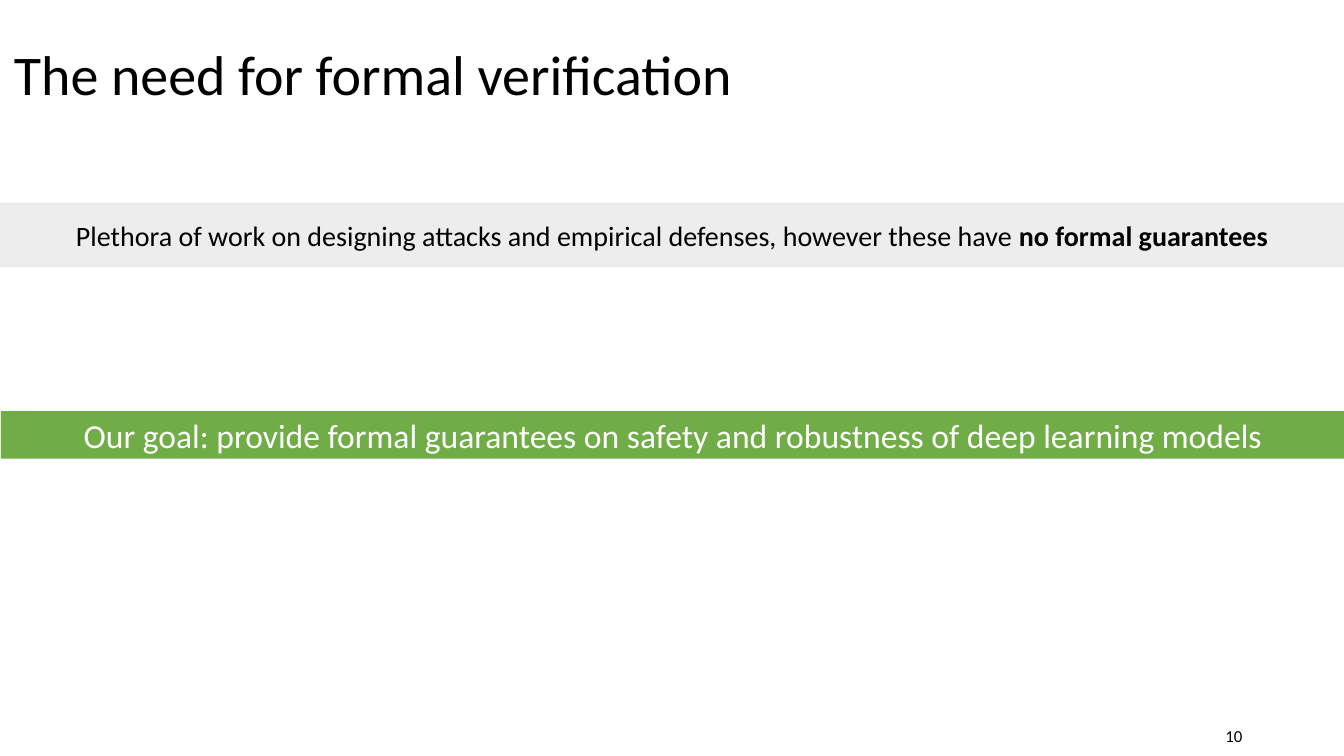
"""Build the slide on the need for formal verification."""
import dataclasses

import pptx
import pptx.dml.color
import pptx.enum.shapes
import pptx.enum.text
import pptx.util

Inches = pptx.util.Inches
Align = pptx.enum.text.PP_ALIGN


@dataclasses.dataclass(frozen=True)
class Theme:
    """Colours, font and type sizes of the slide."""
    font: str = "Calibri"
    black: str = "000000"
    white: str = "FFFFFF"
    grey: str = "EDEDED"
    green: str = "70AD47"
    title_size: int = 40
    goal_size: int = 24
    body_size: int = 20
    number_size: int = 12


THEME = Theme()
SLIDE_WIDTH = 13.33


def write_text(shape, *texts, size, color=THEME.black, align=Align.LEFT, line_spacing=None, bold_last=False):
    """Write one paragraph of runs, vertically centred in the shape."""
    frame = shape.text_frame
    frame.word_wrap = True
    frame.vertical_anchor = pptx.enum.text.MSO_ANCHOR.MIDDLE
    paragraph = frame.paragraphs[0]
    paragraph.alignment = align
    paragraph.line_spacing = line_spacing
    for text in texts:
        run = paragraph.add_run()
        run.text = text
        run.font.name = THEME.font
        run.font.size = pptx.util.Pt(size)
        run.font.color.rgb = pptx.dml.color.RGBColor.from_string(color)
    run.font.bold = bold_last


def add_banner(slide, left, top, height, fill, *texts, **text_format):
    """Add a slide-wide coloured band with centred text."""
    shape = slide.shapes.add_shape(
        pptx.enum.shapes.MSO_SHAPE.RECTANGLE,
        Inches(left), Inches(top), Inches(SLIDE_WIDTH), Inches(height))
    shape.shadow.inherit = False
    shape.fill.solid()
    shape.fill.fore_color.rgb = pptx.dml.color.RGBColor.from_string(fill)
    shape.line.fill.background()
    write_text(shape, *texts, align=Align.CENTER, **text_format)


def add_text(slide, left, top, width, height, text, **text_format):
    """Add a text box."""
    box = slide.shapes.add_textbox(Inches(left), Inches(top), Inches(width), Inches(height))
    write_text(box, text, **text_format)


def main():
    """Build and save the presentation."""
    presentation = pptx.Presentation()
    presentation.slide_width = Inches(SLIDE_WIDTH)
    presentation.slide_height = Inches(7.5)
    slide = presentation.slides.add_slide(presentation.slide_layouts[6])
    add_banner(
        slide, 0, 2.01, 0.64, THEME.grey,
        "Plethora of work on designing attacks and empirical defenses, however these have ",
        "no formal guarantees", size=THEME.body_size, bold_last=True)
    add_banner(
        slide, 0.01, 4.08, 0.47, THEME.green,
        "Our goal: provide formal guarantees on safety and robustness of deep learning models",
        size=THEME.goal_size, color=THEME.white)
    add_text(slide, 9.42, 7.1, 3, 0.4, "10", size=THEME.number_size, align=Align.RIGHT)
    add_text(slide, 0.04, 0.04, 13.29, 1.45, "The need for formal verification",
             size=THEME.title_size, line_spacing=0.9)
    presentation.save("out.pptx")


if __name__ == "__main__":
    main()
